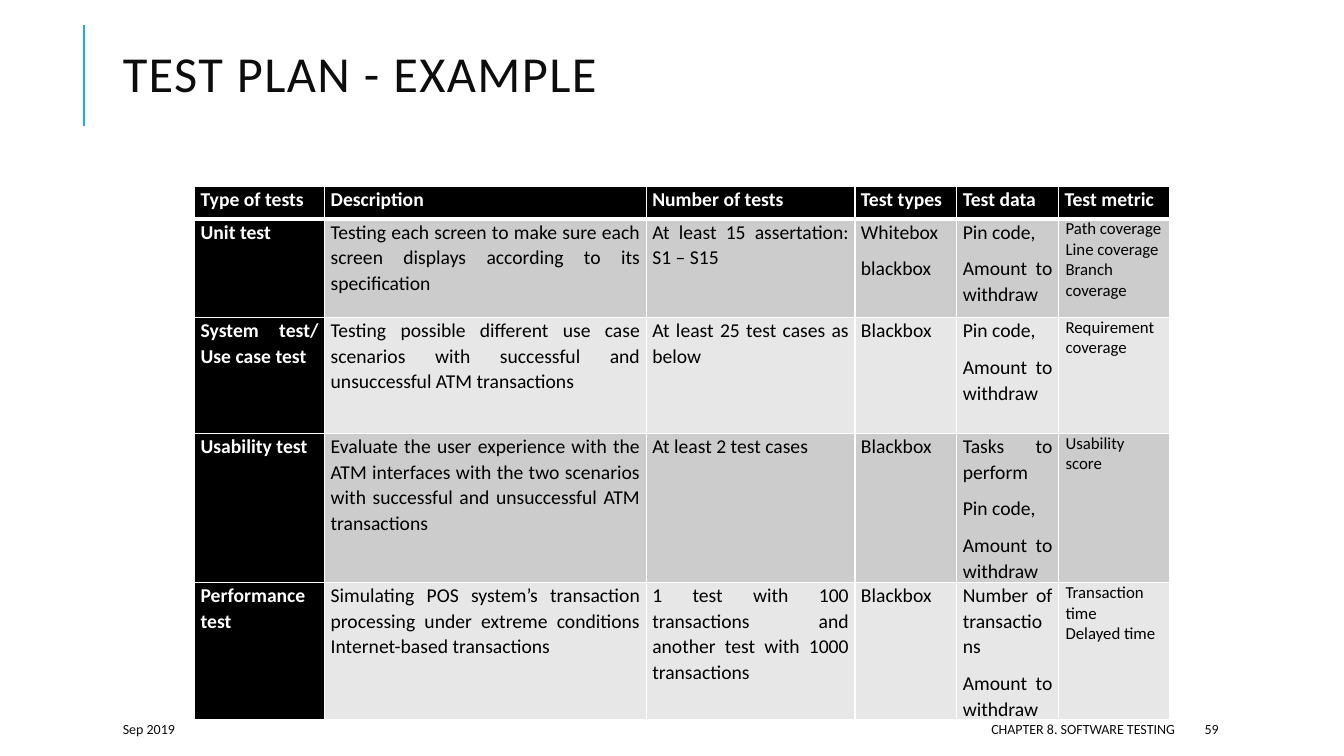
from lxml import etree
from pptx import Presentation
from pptx.dml.color import RGBColor
from pptx.enum.shapes import MSO_CONNECTOR
from pptx.enum.text import MSO_ANCHOR, PP_ALIGN
from pptx.oxml.ns import qn
from pptx.util import Inches, Pt

STRAIGHT = MSO_CONNECTOR.STRAIGHT
MIDDLE = MSO_ANCHOR.MIDDLE
LEFT, RIGHT, JUSTIFY = PP_ALIGN.LEFT, PP_ALIGN.RIGHT, PP_ALIGN.JUSTIFY

COLORS = {
    "accent": "1CADE4",
    "ink": "0D0D0D",
    "black": "000000",
    "white": "FFFFFF",
    "odd_band": "CCCCCC",
    "even_band": "E7E7E7",
}
COLUMN_WIDTHS = [1.29, 3.19, 2.07, 1.01, 1.01, 1.1]
ROW_HEIGHTS = [0.32, 0.98, 1.15, 1.48, 1.29]
TEST_PLAN = [
    ["Type of tests", "Description", "Number of tests", "Test types", "Test data", "Test metric"],
    [
        "Unit test",
        "Testing each screen to make sure each screen displays according to its specification",
        "At least 15 assertation:\vS1 – S15",
        "Whitebox\nblackbox",
        "Pin code,\nAmount to withdraw",
        "Path coverage\nLine coverage\nBranch coverage",
    ],
    [
        "System test/ Use case test",
        "Testing possible different use case scenarios with successful and unsuccessful ATM transactions",
        "At least 25 test cases as below",
        "Blackbox",
        "Pin code,\nAmount to withdraw",
        "Requirement coverage",
    ],
    [
        "Usability test",
        "Evaluate the user experience with the ATM interfaces with the two scenarios "
        "with successful and unsuccessful ATM transactions",
        "At least 2 test cases",
        "Blackbox",
        "Tasks to perform\nPin code,\nAmount to withdraw",
        "Usability score",
    ],
    [
        "Performance test",
        "Simulating POS system’s transaction processing under extreme conditions\v"
        "Internet-based transactions",
        "1 test with 100 transactions and another test with 1000 transactions",
        "Blackbox",
        "Number of transactions\nAmount to withdraw",
        "Transaction time\nDelayed time",
    ],
]


class SlideBuilder:
    """Adds consistently styled elements to one slide."""

    font_name = "Calibri"

    def __init__(self, slide):
        self.slide = slide

    def color(self, name):
        return RGBColor.from_string(COLORS[name])

    def style_run(self, run, size, color, bold=False):
        run.font.name = self.font_name
        run.font.size = Pt(size)
        run.font.bold = bold
        run.font.color.rgb = self.color(color)

    def line(self, start, end, color, width):
        connector = self.slide.shapes.add_connector(
            STRAIGHT, *(Inches(value) for value in start + end)
        )
        connector.line.color.rgb = self.color(color)
        connector.line.width = Pt(width)
        etree.SubElement(connector._element.spPr, qn("a:effectLst"))

    def text(self, box, text, size, alignment=LEFT, line_spacing=1.0, tracking=0):
        shape = self.slide.shapes.add_textbox(*(Inches(value) for value in box))
        text_frame = shape.text_frame
        text_frame.word_wrap = True
        text_frame.vertical_anchor = MIDDLE
        text_frame.text = text
        paragraph = text_frame.paragraphs[0]
        paragraph.alignment = alignment
        paragraph.line_spacing = line_spacing
        for run in paragraph.runs:
            self.style_run(run, size, "ink")
            if tracking:
                run.font._element.set("spc", str(tracking * 100))

    def borders(self, cell, widths):
        properties = cell._tc.get_or_add_tcPr()
        for side, width in widths.items():
            border = etree.SubElement(properties, qn(f"a:ln{side}"), w=str(Pt(width)))
            fill = etree.SubElement(border, qn("a:solidFill"))
            etree.SubElement(fill, qn("a:srgbClr"), val=COLORS["white"])

    def cell(self, cell, text, row, column):
        header = row == 0 or column == 0
        metric = column == len(COLUMN_WIDTHS) - 1 and not header
        band = "odd_band" if row % 2 else "even_band"
        self.borders(cell, {"L": 1, "R": 1, "T": 3 if row == 1 else 1, "B": 3 if row == 0 else 1})
        cell.fill.solid()
        cell.fill.fore_color.rgb = self.color("black" if header else band)
        cell.margin_left = cell.margin_right = Inches(0.07 if metric else 0.06)
        cell.margin_top = cell.margin_bottom = 0
        cell.text_frame.text = text
        for paragraph in cell.text_frame.paragraphs:
            paragraph.alignment = JUSTIFY
            paragraph.line_spacing = 1.0 if metric else 1.07
            paragraph.space_after = Pt(0 if metric else 8)
            for run in paragraph.runs:
                self.style_run(run, 12 if metric else 14, "white" if header else "black", header)

    def table(self, left, top, rows):
        table = self.slide.shapes.add_table(
            len(rows), len(COLUMN_WIDTHS), Inches(left), Inches(top),
            Inches(sum(COLUMN_WIDTHS)), Inches(sum(ROW_HEIGHTS)),
        ).table
        for column, width in zip(table.columns, COLUMN_WIDTHS):
            column.width = Inches(width)
        for row, height in zip(table.rows, ROW_HEIGHTS):
            row.height = Inches(height)
        for row, texts in enumerate(rows):
            for column, text in enumerate(texts):
                self.cell(table.cell(row, column), text, row, column)


def main():
    presentation = Presentation()
    presentation.slide_width = Inches(13.33)
    presentation.slide_height = Inches(7.5)
    builder = SlideBuilder(presentation.slides.add_slide(presentation.slide_layouts[6]))
    builder.line((0.83, 1.25), (0.83, 0.25), "accent", 1.5)
    builder.text((1.12, 0.11, 11.8, 1.33), "TEST PLAN - EXAMPLE", 36, line_spacing=0.8, tracking=1)
    builder.table(1.93, 1.85, TEST_PLAN)
    builder.text((1.12, 7.08, 2.36, 0.3), "Sep 2019", 10)
    builder.text((5.3, 7.08, 6.45, 0.3), "CHAPTER 8. SOFTWARE TESTING", 10, RIGHT)
    builder.text((11.85, 7.08, 1.06, 0.3), "59", 10)
    presentation.save("out.pptx")


if __name__ == "__main__":
    main()
